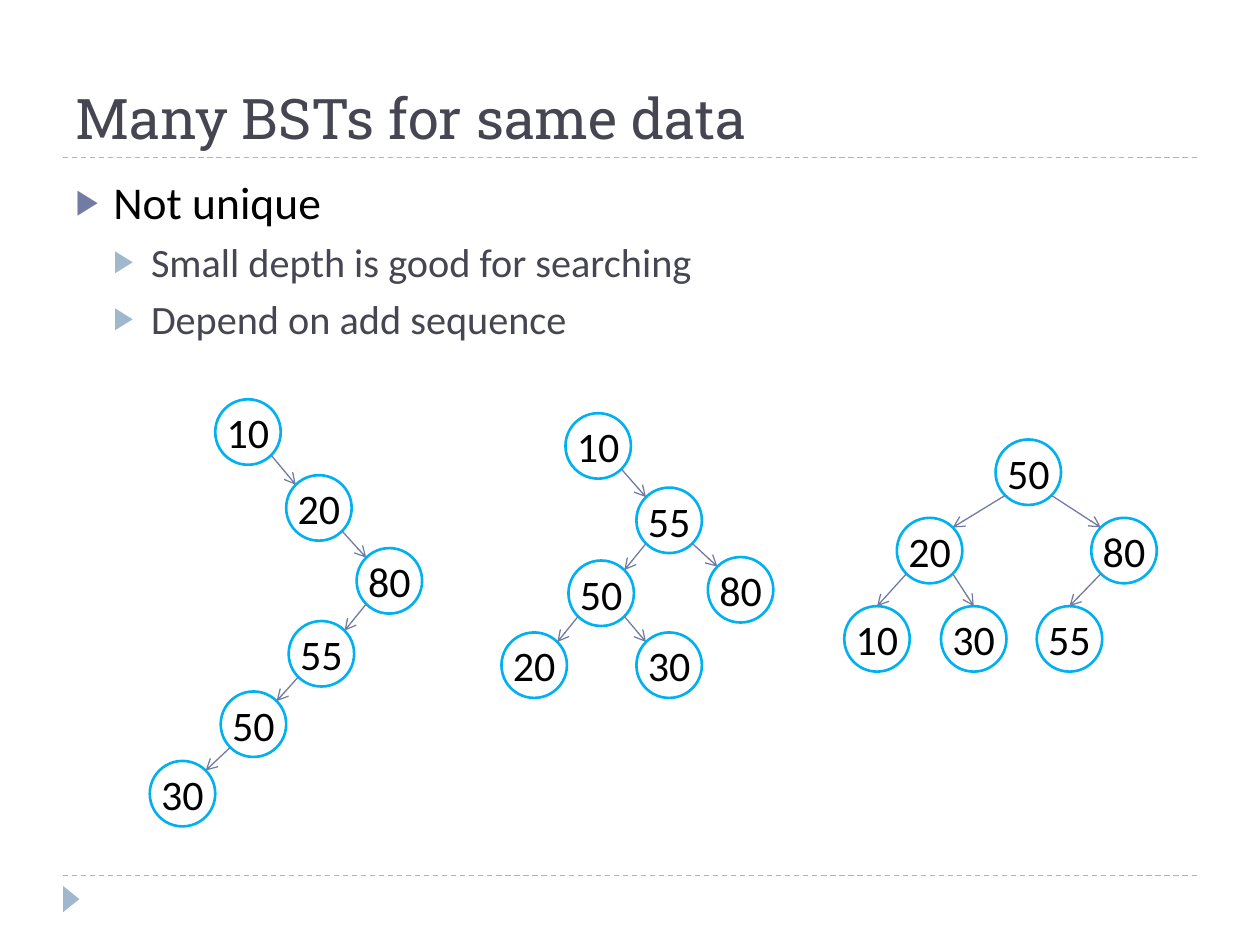
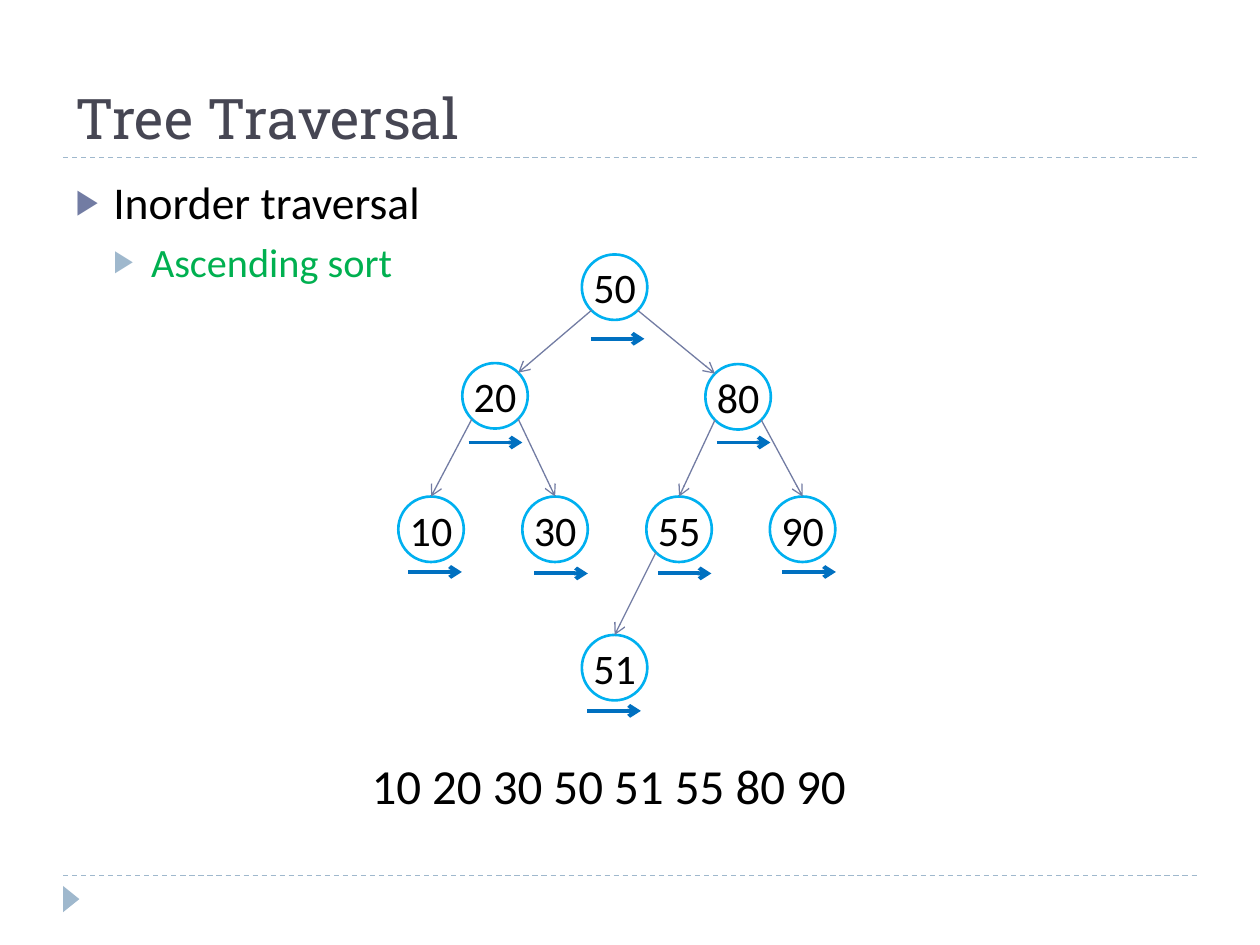
from dataclasses import dataclass
from math import sqrt

from lxml.etree import SubElement
from pptx import Presentation
from pptx.dml.color import RGBColor
from pptx.enum.dml import MSO_LINE
from pptx.enum.shapes import MSO_CONNECTOR, MSO_SHAPE
from pptx.enum.text import MSO_ANCHOR, MSO_AUTO_SIZE, PP_ALIGN
from pptx.oxml import parse_xml
from pptx.oxml.ns import nsdecls, qn
from pptx.util import Cm, Pt


@dataclass(frozen=True)
class Theme:
    heading_font: str = "Roboto Slab"
    text_font: str = "Calibri"
    ink: str = "000000"
    slate: str = "464653"
    violet: str = "727CA3"
    mist: str = "9FB8CD"
    node_blue: str = "00B0F0"
    visit_blue: str = "0070C0"
    green: str = "00B050"
    title_size: int = 32
    topic_size: int = 26
    detail_size: int = 23
    node_size: int = 24
    result_size: int = 28


theme = Theme()
NODE = 1.32
NODE_FRAME = {
    "margin_left": 0, "margin_top": 0, "margin_right": 0, "margin_bottom": 0,
    "vertical_anchor": MSO_ANCHOR.MIDDLE, "word_wrap": False,
}
RESULT_FRAME = {"word_wrap": False, "auto_size": MSO_AUTO_SIZE.SHAPE_TO_FIT_TEXT}

lessons = [
    {
        "title": "Many BSTs for same data",
        "points": [
            ("Not unique", 0, None),
            ("Small depth is good for searching", 1, None),
            ("Depend on add sequence", 1, None),
        ],
        "trees": [
            {
                "10": (4.34, 8.05, None), "20": (5.77, 9.58, "10"),
                "80": (7.19, 11.05, "20"), "55": (5.82, 12.52, "80"),
                "50": (4.45, 13.94, "55"), "30": (3.02, 15.34, "50"),
            },
            {
                "10": (11.4, 8.33, None), "55": (12.83, 9.83, "10"),
                "80": (14.27, 11.23, "55"), "50": (11.46, 11.3, "55"),
                "20": (10.11, 12.75, "50"), "30": (12.83, 12.75, "50"),
            },
            {
                "50": (20.07, 8.86, None), "20": (18.08, 10.44, "50"),
                "80": (22, 10.44, "50"), "10": (17.02, 12.22, "20"),
                "30": (18.97, 12.22, "20"), "55": (20.9, 12.22, "80"),
            },
        ],
        "entered_at_top": [(), (), ("10", "30", "55")],
        "visits": [],
        "result": None,
    },
    {
        "title": "Tree Traversal",
        "points": [
            ("Inorder traversal", 0, None),
            ("Ascending sort", 1, theme.green),
        ],
        "trees": [
            {
                "50": (11.73, 5.13, None), "20": (9.32, 7.32, "50"),
                "80": (14.22, 7.34, "50"), "10": (8.03, 10.01, "20"),
                "30": (10.53, 10.01, "20"), "55": (13.03, 10.01, "80"),
                "90": (15.52, 10.01, "80"), "51": (11.73, 12.8, "55"),
            },
        ],
        "entered_at_top": [("10", "30", "55", "90", "51")],
        "visits": [
            (8.23, 11.53), (9.45, 8.92), (10.77, 11.56), (11.91, 6.83),
            (11.84, 14.33), (13.26, 11.56), (14.45, 8.92), (15.77, 11.53),
        ],
        "result": "10 20 30 50 51 55 80 90",
    },
]


def draw_line(slide, start, end, color, width, arrow=True):
    line = slide.shapes.add_connector(
        MSO_CONNECTOR.STRAIGHT, *(Cm(value) for value in (*start, *end)))
    line.line.color.rgb = RGBColor.from_string(color)
    line.line.width = Pt(width)
    if arrow:
        SubElement(line.line._get_or_add_ln(), qn("a:tailEnd"), type="arrow")
    else:
        line.line.dash_style = MSO_LINE.DASH
    SubElement(line.element.spPr, qn("a:effectLst"))
    return line


def level_style(level, size, font, color, indent=0, before=0, bullet=None):
    mark = (f'<a:buClr><a:srgbClr val="{bullet}"/></a:buClr><a:buSzPct val="76000"/>'
            '<a:buChar char="▶"/>') if bullet else "<a:buNone/>"
    hanging = -Cm(0.76) if indent else 0
    return (f'<a:lvl{level}pPr marL="{Cm(indent)}" indent="{hanging}" algn="l">'
            f'<a:spcBef><a:spcPts val="{before * 100}"/></a:spcBef>{mark}'
            f'<a:defRPr sz="{size * 100}"><a:solidFill><a:srgbClr val="{color}"/></a:solidFill>'
            f'<a:latin typeface="{font}"/></a:defRPr></a:lvl{level}pPr>')


deck = Presentation()
deck.slide_width, deck.slide_height = Cm(25.4), Cm(19.05)
layout = deck.slide_layouts[1]
for placeholder in list(layout.placeholders)[2:]:
    placeholder.element.getparent().remove(placeholder.element)

heading, outline = layout.placeholders
heading_style = level_style(1, theme.title_size, theme.heading_font, theme.slate)
outline_style = (
    level_style(1, theme.topic_size, theme.text_font, theme.ink, 0.76, 6, theme.violet)
    + level_style(2, theme.detail_size, theme.text_font, theme.slate, 1.52, 5, theme.mist))
for holder, top, height, anchor, style in (
        (heading, 0.43, 2.74, MSO_ANCHOR.BOTTOM, heading_style),
        (outline, 3.38, 13.72, MSO_ANCHOR.TOP, outline_style)):
    area = {"left": Cm(1.27), "top": Cm(top), "width": Cm(22.86), "height": Cm(height)}
    for name, value in area.items():
        setattr(holder, name, value)
    holder.text_frame.vertical_anchor = anchor
    holder.text_frame.auto_size = MSO_AUTO_SIZE.NONE
    levels = holder.text_frame._txBody.find(qn("a:lstStyle"))
    levels.getparent().replace(
        levels, parse_xml(f'<a:lstStyle {nsdecls("a")}>{style}</a:lstStyle>'))

slides = [deck.slides.add_slide(layout) for _ in lessons]

rules = [draw_line(slides[0], (1.27, y), (24.13, y), theme.mist, 0.75, arrow=False)
         for y in (17.65, 3.18)]
marker = slides[0].shapes.add_shape(
    MSO_SHAPE.ISOSCELES_TRIANGLE, Cm(1.17), Cm(17.96), Cm(0.53), Cm(0.33))
marker.rotation = 90
marker.shadow.inherit = False
marker.fill.solid()
marker.fill.fore_color.rgb = RGBColor.from_string(theme.mist)
marker.line.fill.background()
for decoration in (*rules, marker):
    layout.shapes.element.append(decoration.element)

radius = NODE / 2
diagonal = radius / sqrt(2)
for slide, lesson in zip(slides, lessons):
    title, body = slide.placeholders
    title.text_frame.text = lesson["title"]
    for index, (text, level, color) in enumerate(lesson["points"]):
        frame = body.text_frame
        point = frame.add_paragraph() if index else frame.paragraphs[0]
        point.level = level
        run = point.add_run()
        run.text = text
        if color:
            run.font.color.rgb = RGBColor.from_string(color)

    for tree, entered_at_top in zip(lesson["trees"], lesson["entered_at_top"]):
        nodes = {}
        for key, (x, y, parent) in tree.items():
            node = slide.shapes.add_shape(MSO_SHAPE.OVAL, Cm(x), Cm(y), Cm(NODE), Cm(NODE))
            node.shadow.inherit = False
            node.fill.background()
            node.line.color.rgb = RGBColor.from_string(theme.node_blue)
            node.line.width = Pt(1.5)
            for name, value in NODE_FRAME.items():
                setattr(node.text_frame, name, value)
            label = node.text_frame.paragraphs[0]
            label.text = key
            label.alignment = PP_ALIGN.CENTER
            label.font.name = theme.text_font
            label.font.size = Pt(theme.node_size)
            label.font.color.rgb = RGBColor.from_string(theme.ink)
            nodes[key] = node

        for key, (x, y, parent) in tree.items():
            if parent is None:
                continue
            parent_x, parent_y, _ = tree[parent]
            side = diagonal if x > parent_x else -diagonal
            start = (parent_x + radius + side, parent_y + radius + diagonal)
            end = (x + radius - side, y + radius - diagonal)
            edge = draw_line(slide, start, end, theme.violet, 0.75)
            if key in entered_at_top:
                edge.end_connect(nodes[key], 0)

    for x, y in lesson["visits"]:
        draw_line(slide, (x, y), (x + 1.08, y), theme.visit_blue, 2.25)

    if lesson["result"]:
        result = slide.shapes.add_textbox(Cm(7.24), Cm(15.11), Cm(10.41), Cm(1.45))
        for name, value in RESULT_FRAME.items():
            setattr(result.text_frame, name, value)
        sequence = result.text_frame.paragraphs[0]
        sequence.text = lesson["result"]
        sequence.font.name = theme.text_font
        sequence.font.size = Pt(theme.result_size)
        sequence.font.color.rgb = RGBColor.from_string(theme.ink)

deck.save("out.pptx")
